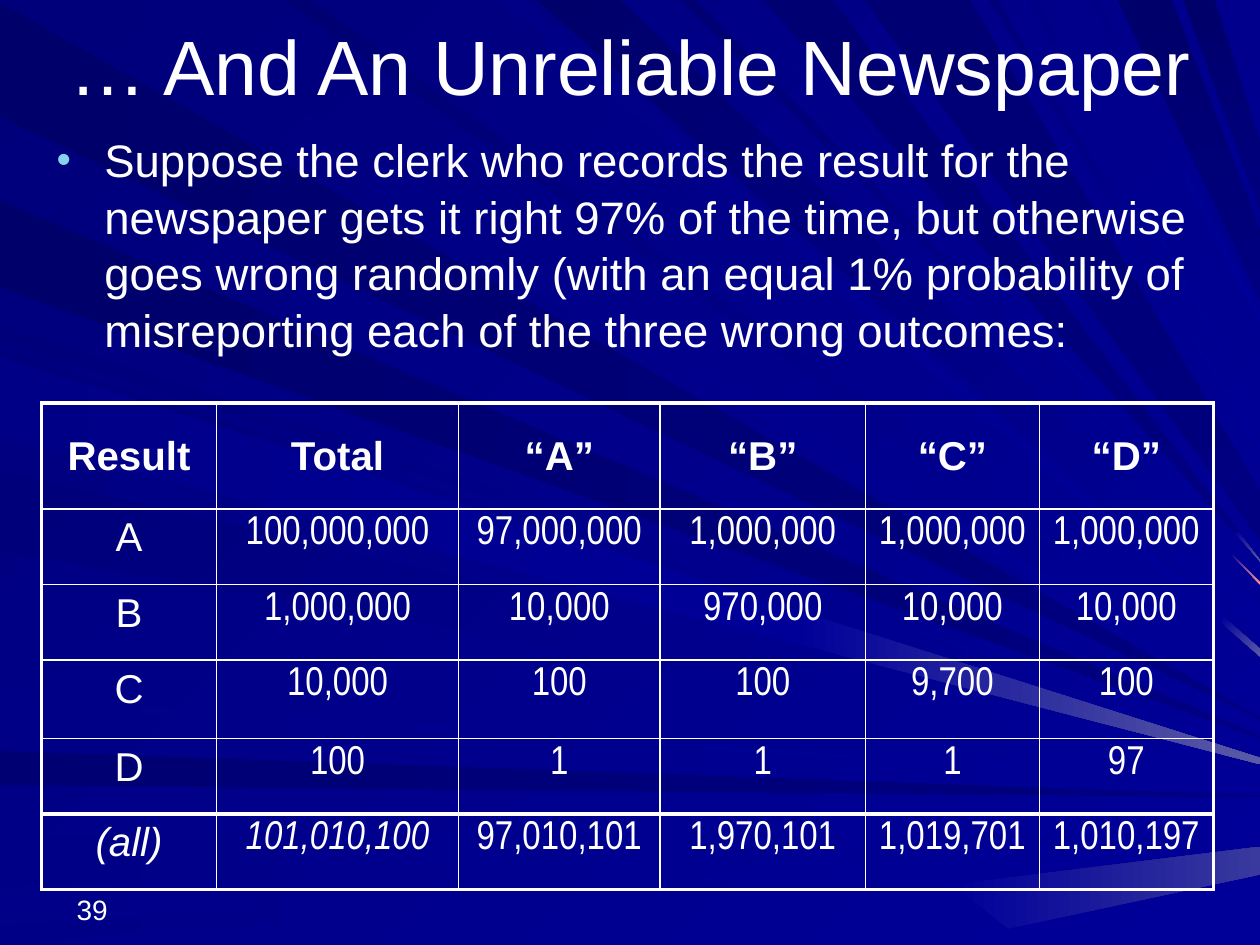
from typing import Any, NamedTuple

import pptx
import pptx.dml.color
import pptx.enum.text
import pptx.oxml.ns
import pptx.util
from lxml import etree

RGBColor = pptx.dml.color.RGBColor
Align = pptx.enum.text.PP_ALIGN
Anchor = pptx.enum.text.MSO_ANCHOR

WHITE = RGBColor.from_string("FFFFFF")
SKY = RGBColor.from_string("86D1EC")
INK = RGBColor.from_string("00006B")
DEEP = RGBColor.from_string("000073")
DUSK = RGBColor.from_string("00007B")
NAVY = RGBColor.from_string("000080")
DIM = RGBColor.from_string("000087")
BLUE = RGBColor.from_string("000099")
HAZE = RGBColor.from_string("5A5AA6")
MIST = RGBColor.from_string("39399E")
PINK = RGBColor.from_string("FF9999")

GRID_COLUMNS, GRID_ROWS = 100, 75
UNIT = pptx.util.Inches(0.1)
THIN, THICK = pptx.util.Pt(1), pptx.util.Pt(2.25)

Point = tuple[float, float]


class Ray(NamedTuple):
    edge: str
    near: float
    far: float
    tip: float
    start: RGBColor
    end: RGBColor = BLUE
    spread: float = 0.1
    flat: bool = False
    tail: RGBColor | None = None
    tail_share: float = 0.95


class TextBlock(NamedTuple):
    text: str
    column: float
    row: float
    columns: float
    rows: float
    size: int
    anchor: Any
    paragraph_format: dict[str, Any] = {}
    bulleted: bool = False


RAYS = [
    Ray("left", 0.2, 9.3, 57, INK, NAVY),
    Ray("top", 10.1, 2.6, 56.3, DUSK),
    Ray("left", 59.6, 62.3, 63.2, DEEP, NAVY),
    Ray("left", 66.5, 70.4, 64.7, DIM, flat=True, spread=0.8),
    Ray("left", 73.5, 77, 66.2, DIM, flat=True),
    Ray("left", 25.8, 27, 58.9, DUSK),
    Ray("left", 15.9, 22.8, 58.5, INK, NAVY),
    Ray("top", 41.6, 39.8, 51.8, DIM, spread=0.6, tail=HAZE),
    Ray("top", 49.2, 42.6, 49.3, INK, spread=2.8),
    Ray("top", 55.2, 54, 46.3, DEEP, tail=PINK),
    Ray("top", 66.1, 60.6, 44.5, DEEP, NAVY, tail=HAZE),
    Ray("top", 93, 88.7, 21, INK, NAVY, spread=5.4),
    Ray("top", 96.4, 93.9, 14, INK, NAVY, spread=5.3),
    Ray("left", 27.8, 34.2, 59.9, DUSK),
    Ray("left", 37.4, 43.7, 60.6, DUSK),
    Ray("left", 55.2, 56, 62.2, DIM, flat=True),
    Ray("top", 24.7, 22.5, 55, DEEP, spread=0.5),
    Ray("top", 58.8, 57.7, 45.4, DIM),
    Ray("top", 77, 68.6, 40.9, DEEP, NAVY, spread=3.8),
    Ray("top", 79.2, 78.5, 35.7, DUSK, spread=0.6),
    Ray("top", 82.4, 81.5, 33.5, DIM),
    Ray("top", 87.2, 86.5, 25.3, DIM, spread=0.9),
    Ray("left", 28.3, 34.7, 60.4, DIM, flat=True, spread=0.5, tail=HAZE, tail_share=0.63),
]
GLOW = [(75.6, 70.2), (80, 73.7), (100, 69.4), (100, 67.2)]

TEXT_BLOCKS = [
    TextBlock("39", 5.1, 69, 23.3, 5, 16, Anchor.BOTTOM),
    TextBlock(
        "Suppose the clerk who records the result for the newspaper gets it right 97% of the time, "
        "but otherwise goes wrong randomly (with an equal 1% probability of misreporting each of "
        "the three wrong outcomes:",
        3.5, 9.8, 92.9, 19.9, 26, Anchor.TOP, {"line_spacing": 1.04}, True),
    TextBlock("… And An Unreliable Newspaper", 2, 1.3, 96.1, 7.7, 44, Anchor.MIDDLE,
              {"alignment": Align.CENTER}),
]

TABLE_COLUMN, TABLE_ROW = 3.3, 32
COLUMN_WIDTHS = (13.9, 19.2, 16, 16.3, 13.8, 13.8)
ROW_HEIGHTS = (8.4, 6, 6, 6.2, 6, 6)
RESULTS = [
    ("Result", "Total", "“A”", "“B”", "“C”", "“D”"),
    ("A", "100,000,000", "97,000,000", "1,000,000", "1,000,000", "1,000,000"),
    ("B", "1,000,000", "10,000", "970,000", "10,000", "10,000"),
    ("C", "10,000", "100", "100", "9,700", "100"),
    ("D", "100", "1", "1", "1", "97"),
    ("(all)", "101,010,100", "97,010,101", "1,970,101", "1,019,701", "1,010,197"),
]


def length(units: float) -> int:
    return round(units * UNIT)


def apply_format(target: Any, values: dict[str, Any]) -> None:
    for name, value in values.items():
        setattr(target, name, value)


def add_element(parent: Any, tag: str, **attributes: str) -> Any:
    return etree.SubElement(parent, pptx.oxml.ns.qn(tag), attributes)


def paint(fill: Any, start: RGBColor, end: RGBColor, angle: int) -> None:
    fill.gradient()
    fill.gradient_angle = -angle % 360
    for stop, color in zip(fill.gradient_stops, (start, end)):
        stop.color.rgb = color


def draw_polygon(slide: Any, points: list[Point], start: RGBColor, end: RGBColor, angle: int) -> None:
    first, *others = [(length(x), length(min(y, GRID_ROWS))) for x, y in points]
    builder = slide.shapes.build_freeform(*first)
    builder.add_line_segments(others, close=True)
    shape = builder.convert_to_shape()
    shape.shadow.inherit = False
    shape.line.fill.background()
    paint(shape.fill, start, end, angle)


def between(origin: Point, target: Point, share: float) -> Point:
    return (origin[0] + (target[0] - origin[0]) * share,
            origin[1] + (target[1] - origin[1]) * share)


def draw_ray(slide: Any, ray: Ray) -> None:
    from_left = ray.edge == "left"
    near, far = [(0, place) if from_left else (place, 0) for place in (ray.near, ray.far)]
    upper = (GRID_COLUMNS, ray.tip - ray.spread / 2)
    lower = (GRID_COLUMNS, ray.tip + ray.spread / 2)
    if ray.end == NAVY:
        angle = 0 if from_left else 90
    else:
        angle = 0 if ray.flat else 45
    if ray.tail is None:
        draw_polygon(slide, [near, upper, lower, far], ray.start, ray.end, angle)
        return
    upper_joint = between(near, upper, ray.tail_share)
    lower_joint = between(far, lower, ray.tail_share)
    draw_polygon(slide, [near, upper_joint, lower_joint, far], ray.start, ray.end, angle)
    draw_polygon(slide, [upper_joint, upper, lower, lower_joint], BLUE, ray.tail, 0 if from_left else 45)


def write(paragraph: Any, text: str, size: int, font_format: dict[str, Any]) -> None:
    run = paragraph.add_run()
    run.text = text
    apply_format(run.font, {"name": "Arial", "size": pptx.util.Pt(size)} | font_format)
    run.font.color.rgb = WHITE


def space_before(paragraph: Any) -> Any:
    properties = paragraph._p.get_or_add_pPr()
    add_element(add_element(properties, "a:spcBef"), "a:spcPct", val="20000")
    return properties


def add_bullet(paragraph: Any) -> None:
    properties = space_before(paragraph)
    indent = length(3.8)
    for name, value in {"marL": indent, "indent": -indent}.items():
        properties.set(name, str(value))
    add_element(add_element(properties, "a:buClr"), "a:srgbClr", val=str(SKY))
    add_element(properties, "a:buSzPct", val="90000")
    add_element(properties, "a:buFont", typeface="Arial")
    add_element(properties, "a:buChar", char="•")


def draw_text(slide: Any, block: TextBlock) -> None:
    box = slide.shapes.add_textbox(*map(length, (block.column, block.row, block.columns, block.rows)))
    frame = box.text_frame
    apply_format(frame, {"word_wrap": True, "vertical_anchor": block.anchor})
    paragraph = frame.paragraphs[0]
    if block.bulleted:
        add_bullet(paragraph)
    apply_format(paragraph, block.paragraph_format)
    write(paragraph, block.text, block.size, {})


def add_borders(cell: Any, row: int, column: int) -> None:
    last_row, last_column = len(ROW_HEIGHTS) - 1, len(COLUMN_WIDTHS) - 1
    heavy_sides = {
        "a:lnL": column == 0,
        "a:lnR": column == last_column,
        "a:lnT": row in (0, last_row),
        "a:lnB": row >= last_row - 1,
    }
    properties = cell._tc.get_or_add_tcPr()
    for tag, heavy in heavy_sides.items():
        line = add_element(properties, tag, w=str(THICK if heavy else THIN))
        add_element(add_element(line, "a:solidFill"), "a:srgbClr", val=str(WHITE))


def draw_table(slide: Any) -> None:
    table = slide.shapes.add_table(
        len(ROW_HEIGHTS), len(COLUMN_WIDTHS), length(TABLE_COLUMN), length(TABLE_ROW),
        length(sum(COLUMN_WIDTHS)), length(sum(ROW_HEIGHTS))).table
    apply_format(table, {"first_row": False, "horz_banding": False})
    for column, width in zip(table.columns, COLUMN_WIDTHS):
        column.width = length(width)
    for row, height in zip(table.rows, ROW_HEIGHTS):
        row.height = length(height)
    for row, values in enumerate(RESULTS):
        for column, value in enumerate(values):
            cell = table.cell(row, column)
            add_borders(cell, row, column)
            cell.fill.background()
            cell.vertical_anchor = Anchor.TOP if row else Anchor.MIDDLE
            paragraph = cell.text_frame.paragraphs[0]
            paragraph.alignment = Align.CENTER
            space_before(paragraph)
            write(paragraph, value, 23, {
                "name": "Arial Narrow" if row and column else "Arial",
                "bold": row == 0,
                "italic": row == len(RESULTS) - 1 and column < 2,
            })


def main() -> None:
    presentation = pptx.Presentation()
    apply_format(presentation, {"slide_width": length(GRID_COLUMNS), "slide_height": length(GRID_ROWS)})
    slide = presentation.slides.add_slide(presentation.slide_layouts[6])
    paint(slide.background.fill, DUSK, BLUE, 45)
    draw_polygon(slide, GLOW, BLUE, MIST, 0)
    for ray in RAYS:
        draw_ray(slide, ray)
    for block in TEXT_BLOCKS:
        draw_text(slide, block)
    draw_table(slide)
    presentation.save("out.pptx")


if __name__ == "__main__":
    main()
